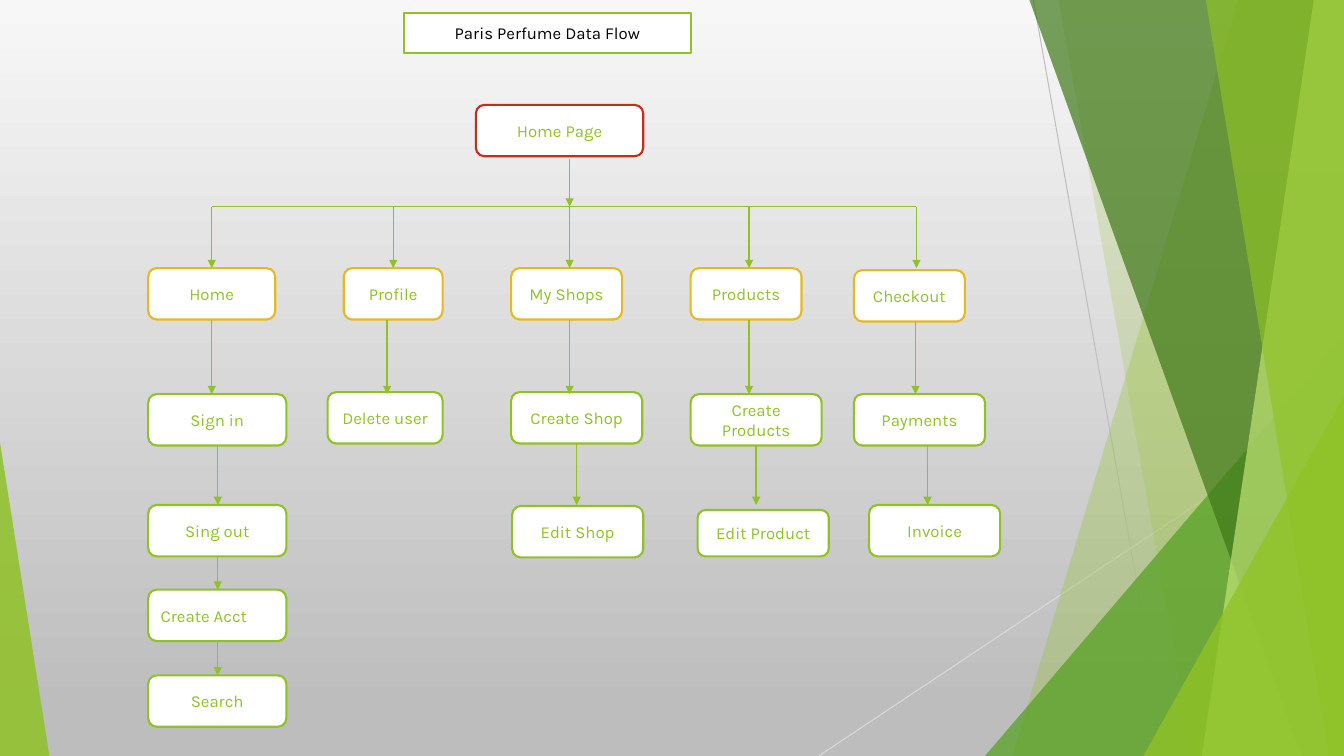
from dataclasses import dataclass

from lxml import etree
from pptx import Presentation
from pptx import util as u
from pptx.dml.color import RGBColor
from pptx.enum import shapes, text
from pptx.oxml.ns import qn


@dataclass(frozen=True)
class Theme:
    green: str = "90C226"
    leaf: str = "54A021"
    forest: str = "3F7819"
    lime: str = "C0E474"
    gold: str = "E6B91E"
    red: str = "C42F1A"
    white: str = "FFFFFF"
    black: str = "000000"
    ray: str = "BFBFBF"
    pale_ray: str = "D9D9D9"
    sky: tuple = ((0, "F7F7F7"), (0.94, "BDBDBD"))
    font: str = "Karla"
    size: float = 12
    border: float = 1.5
    arrow: float = 1
    hairline: float = 0.75


T = Theme()
W, H = 13.33, 7.5
NODE_H = 0.51
ROWS = (1.62, 2.87, 3.97, 4.81, 5.66)
BUS_Y = 1.01
ROOT = ("Home Page", 3.25, 1.66)

# Each column: offset from the flow's left edge, then its nodes from top down as
# (label, arrow x, shift right, shift down, width, height), x from the column edge
COLUMNS = (
    (0, (("Home", 0.63, 0, 0, 1.26, NODE_H),
         ("Sign in", 0.63, 0, 0, 1.37, NODE_H),
         ("Sing out", 0.69, 0, 0, 1.37, NODE_H),
         ("Create Acct", 0.69, 0, 0, 1.37, NODE_H),
         ("Search", 0.69, 0, 0, 1.37, NODE_H))),
    (1.94, (("Profile", 0.49, 0, 0, 0.98, NODE_H),
            ("Delete user", 0.43, -0.16, -0.02, 1.14, NODE_H))),
    (3.6, (("My Shops", 0.58, 0, 0, 1.1, NODE_H),
           ("Create Shop", 0.58, 0, -0.02, 1.3, NODE_H),
           ("Edit Shop", 0.65, 0.01, 0.01, 1.3, NODE_H))),
    (5.38, (("Products", 0.58, 0, 0, 1.1, NODE_H),
            ("Create Products", 0.58, 0, 0, 1.3, NODE_H),
            ("Edit Product", 0.65, 0.07, 0.05, 1.3, 0.46))),
    (7, (("Checkout", 0.62, 0, 0.02, 1.1, NODE_H),
         ("Payments", 0.61, 0, 0, 1.3, NODE_H),
         ("Invoice", 0.73, 0.15, 0, 1.3, NODE_H))),
)
LEFT_ALIGNED = {"Create Acct"}


def apply(obj, **values):
    for name, value in values.items():
        setattr(obj, name, value)


def rgb(color):
    return RGBColor.from_string(color)


def inches(*lengths):
    return [u.Inches(x) for x in lengths]


def add_line(s, start, end, color, width, head=False):
    c = s.shapes.add_connector(shapes.MSO_CONNECTOR.STRAIGHT, *inches(*start, *end))
    c.line.color.rgb = rgb(color)
    c.line.width = u.Pt(width)
    if head:
        etree.SubElement(c.line._get_or_add_ln(), qn("a:tailEnd"), type="triangle")
    etree.SubElement(c._element.spPr, qn("a:effectLst"))


def tint(sp, color, opacity):
    """Give a decorative shape a see-through fill and no outline."""
    sp.shadow.inherit = False
    sp.line.fill.background()
    sp.fill.solid()
    sp.fill.fore_color.rgb = rgb(color)
    clr = sp._element.spPr.find(qn("a:solidFill")).find(qn("a:srgbClr"))
    etree.SubElement(clr, qn("a:alpha"), val=str(opacity * 1000))


def style_card(sp, label, border, color, align=text.PP_ALIGN.CENTER):
    """White rounded card with a coloured border and one label."""
    sp.fill.solid()
    sp.fill.fore_color.rgb = rgb(T.white)
    sp.line.color.rgb = rgb(border)
    sp.line.width = u.Pt(T.border)
    tf = sp.text_frame
    apply(tf, word_wrap=True, auto_size=text.MSO_AUTO_SIZE.NONE,
          vertical_anchor=text.MSO_ANCHOR.MIDDLE)
    p = tf.paragraphs[0]
    p.alignment = align
    r = p.add_run()
    r.text = label
    apply(r.font, name=T.font, size=u.Pt(T.size))
    r.font.color.rgb = rgb(color)


def add_card(s, box, label, border):
    sp = s.shapes.add_shape(shapes.MSO_SHAPE.ROUNDED_RECTANGLE, *inches(*box))
    sp.shadow.inherit = False
    left = label in LEFT_ALIGNED
    style_card(sp, label, border, T.green,
               text.PP_ALIGN.LEFT if left else text.PP_ALIGN.CENTER)


def draw_background(s):
    fill = s.background.fill
    fill.gradient()
    fill.gradient_angle = 270
    for stop, (position, color) in zip(fill.gradient_stops, T.sky):
        stop.position = position
        stop.color.rgb = rgb(color)


def draw_facets(s, box):
    """Overlapping translucent facets along the right and left edges."""
    x, y, w, h = box
    right, bottom = x + w, y + h

    def facet(top_x, bottom_x, color, opacity):
        points = [(top_x, y), (right, y), (right, bottom), (bottom_x, bottom)]
        start, *rest = [inches(*point) for point in points]
        builder = s.shapes.build_freeform(*start)
        builder.add_line_segments(rest, close=True)
        tint(builder.convert_to_shape(), color, opacity)

    def wedge(left, width, height, apex, color, opacity):
        sp = s.shapes.add_shape(shapes.MSO_SHAPE.ISOSCELES_TRIANGLE,
                                *inches(left, bottom - height, width, height))
        sp.adjustments[0] = apex
        tint(sp, color, opacity)

    add_line(s, (x + 10.25, y), (x + 11.58, bottom), T.ray, T.hairline)
    add_line(s, (right, y + 4.03), (x + 8.12, bottom), T.pale_ray, T.hairline)
    facet(x + 12.28, x + 10.04, T.green, 30)
    facet(x + 10.5, x + 11.83, T.green, 20)
    wedge(right - 3.56, 3.56, 4.17, 1, T.leaf, 72)
    facet(x + 10.21, x + 12.91, T.forest, 70)
    facet(x + 13.03, x + 11.92, T.lime, 70)
    facet(x + 11.96, x + 13.18, T.green, 65)
    wedge(right - 1.99, 1.99, 3.57, 1, T.green, 80)
    wedge(x, 0.49, 3.11, 0, T.green, 85)


def draw_title(s, box):
    sp = s.shapes.title
    apply(sp, **dict(zip(("left", "top", "width", "height"), inches(*box))))
    geom = etree.SubElement(sp._element.spPr, qn("a:prstGeom"), prst="roundRect")
    etree.SubElement(geom, qn("a:avLst"))
    style_card(sp, "Paris Perfume Data Flow", T.green, T.black)


def draw_column(s, x, y, nodes):
    """Cards of one branch, each reached by an arrow from the one above."""
    start = y + BUS_Y
    for level, (label, arrow_x, dx, dy, w, h) in enumerate(nodes):
        row = y + ROWS[level]
        add_card(s, (x + dx, row + dy, w, h), label, T.green if level else T.gold)
        add_line(s, (x + arrow_x, start), (x + arrow_x, row), T.green, T.arrow, True)
        start = row + dy + h


def draw_flow(s, box):
    x, y, w, h = box
    # Root card and its trunk
    label, root_x, root_w = ROOT
    add_card(s, (x + root_x, y, root_w, NODE_H), label, T.red)
    trunk_x = x + 4.18
    add_line(s, (trunk_x, y + NODE_H + 0.03), (trunk_x, y + BUS_Y), T.green, T.arrow, True)
    # Bus from the first branch to the last
    ends = [x + left + nodes[0][1] for left, nodes in (COLUMNS[0], COLUMNS[-1])]
    add_line(s, (ends[0], y + BUS_Y), (ends[1], y + BUS_Y), T.green, T.arrow)
    # Branches
    for left, nodes in COLUMNS:
        draw_column(s, x + left, y, nodes)


def main():
    prs = Presentation()
    apply(prs, slide_width=u.Inches(W), slide_height=u.Inches(H))
    s = prs.slides.add_slide(prs.slide_layouts[5])
    draw_background(s)
    draw_facets(s, (0, 0, W, H))
    draw_title(s, (4.01, 0.13, 2.84, 0.4))
    draw_flow(s, (1.47, 1.04, 8.45, 6.17))
    prs.save("out.pptx")


if __name__ == "__main__":
    main()
